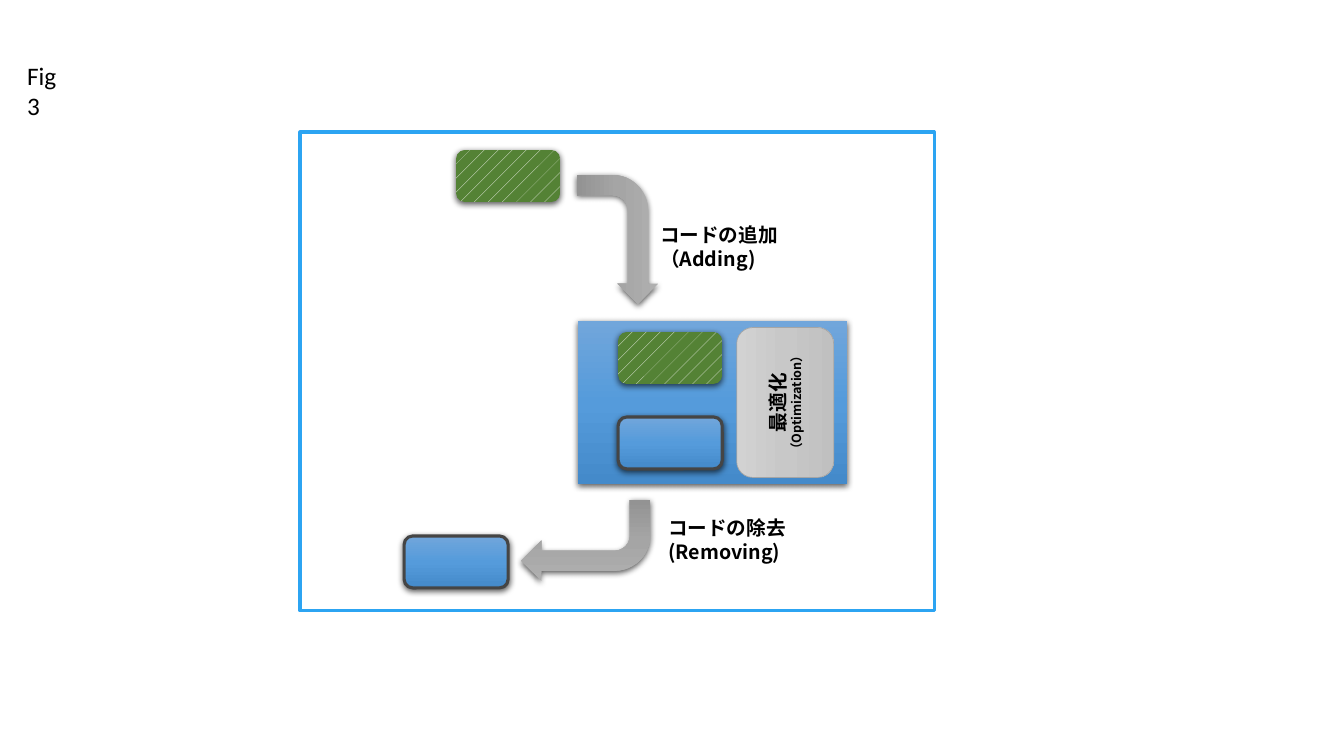
import copy
import pptx
import pptx.dml.color
import pptx.enum.dml
import pptx.enum.shapes
import pptx.enum.text
import pptx.oxml
import pptx.oxml.ns
import pptx.util

PX = 914400 / 100.8
KIND = pptx.enum.shapes.MSO_SHAPE
ALIGN = pptx.enum.text.PP_ALIGN
ANCHOR = pptx.enum.text.MSO_ANCHOR
JAPANESE = "Noto Sans CJK JP"
BLUE = ["71A6DB", "559BDB", "448ACA"]
ARROW_GRAY = ["AFAFAF", "A5A5A5", "939393"]
PANEL_GRAY = ["D2D2D2", "C8C8C8", "C0C0C0"]
GREEN_PATTERN = "548235"
SHADOW = (
    '<a:outerShdw %s blurRad="57150" dist="19050" dir="5400000" algn="ctr" rotWithShape="0">'
    '<a:srgbClr val="000000"><a:alpha val="63000"/></a:srgbClr></a:outerShdw>'
    % pptx.oxml.ns.nsdecls("a")
)
color = pptx.dml.color.RGBColor.from_string

deck = pptx.Presentation()
deck.slide_width = pptx.util.Inches(13.33)
deck.slide_height = pptx.util.Inches(7.5)
slide = deck.slides.add_slide(deck.slide_layouts[5])


def add_part(kind, box, fill, line=None, width=2.25, rotation=0, shadow=True):
    part = slide.shapes.add_shape(kind, *[round(v * PX) for v in box])
    part.rotation = rotation
    if isinstance(fill, list):
        part.fill.gradient()
        part.fill.gradient_angle = 270
        stops = part._element.spPr.find(".//" + pptx.oxml.ns.qn("a:gsLst"))
        stops.insert(1, copy.deepcopy(stops[0]))
        for stop, shade, position in zip(part.fill.gradient_stops, fill, (0, 0.5, 1)):
            stop.color.rgb = color(shade)
            stop.position = position
    elif fill == GREEN_PATTERN:
        part.fill.patterned()
        part.fill.pattern = pptx.enum.dml.MSO_PATTERN.PERCENT_5
        part.fill.fore_color.rgb = color("FFFFFF")
        part.fill.back_color.rgb = color(fill)
    else:
        part.fill.solid()
        part.fill.fore_color.rgb = color(fill)
    if line:
        part.line.color.rgb = color(line)
        part.line.width = pptx.util.Pt(width)
    else:
        part.line.fill.background()
    part.shadow.inherit = False
    if shadow:
        effects = part._element.spPr.find(pptx.oxml.ns.qn("a:effectLst"))
        effects.append(pptx.oxml.parse_xml(SHADOW))
    return part


def add_run(paragraph, text, size, font=JAPANESE, bold=True):
    run = paragraph.add_run()
    run.text = text
    run.font.size = pptx.util.Pt(size)
    run.font.name = font
    run.font.bold = bold
    run.font.color.rgb = color("000000")
    east_asian = copy.deepcopy(run._r.rPr.find(pptx.oxml.ns.qn("a:latin")))
    east_asian.tag = pptx.oxml.ns.qn("a:ea")
    run._r.rPr.append(east_asian)


# Figure title
title = slide.shapes.title
title.left, title.top, title.width, title.height = [round(v * PX) for v in (17, 55, 62, 40)]
title.text_frame.word_wrap = False
title.text_frame.vertical_anchor = ANCHOR.TOP
title.text_frame.paragraphs[0].alignment = ALIGN.LEFT
add_run(title.text_frame.paragraphs[0], "Fig3", 18, "Calibri", False)

# Frame and program block
add_part(KIND.RECTANGLE, (300, 132, 634, 479), "FFFFFF", "2CA4F2", shadow=False)
add_part(KIND.RECTANGLE, (578, 321, 269, 163), BLUE)

# Arrows into and out of the block
for left, top, rotation in [(553, 199, 90), (521, 500, 180)]:
    add_part(KIND.BENT_ARROW, (left, top, 129, 81), ARROW_GRAY, rotation=rotation)

# Code pieces: added (green) and removed (blue)
for left, top, fill, line in [
    (456, 150, GREEN_PATTERN, None),
    (618, 332, GREEN_PATTERN, None),
    (618, 417, BLUE, "454545"),
    (404, 536, BLUE, "454545"),
]:
    add_part(KIND.ROUNDED_RECTANGLE, (left, top, 104, 52), fill, line)

# Optimization panel
optimization = add_part(KIND.ROUNDED_RECTANGLE, (710, 354, 150, 97), PANEL_GRAY,
                        "A5A5A5", 0.5, rotation=270, shadow=False)
frame = optimization.text_frame
frame.vertical_anchor = ANCHOR.MIDDLE
for paragraph, text, size in [
    (frame.paragraphs[0], "最適化", 14),
    (frame.add_paragraph(), "（Optimization）", 9),
]:
    paragraph.alignment = ALIGN.CENTER
    add_run(paragraph, text, size)

# Arrow labels
for left, top, japanese, english in [
    (650, 218, "コードの追加", "（Adding)"),
    (658, 511, "コードの除去", "(Removing)"),
]:
    label = slide.shapes.add_textbox(*[round(v * PX) for v in (left, top, 196, 58)])
    label.text_frame.word_wrap = True
    paragraph = label.text_frame.paragraphs[0]
    add_run(paragraph, japanese, 14)
    paragraph.add_line_break()
    add_run(paragraph, english, 14)

deck.save("out.pptx")
